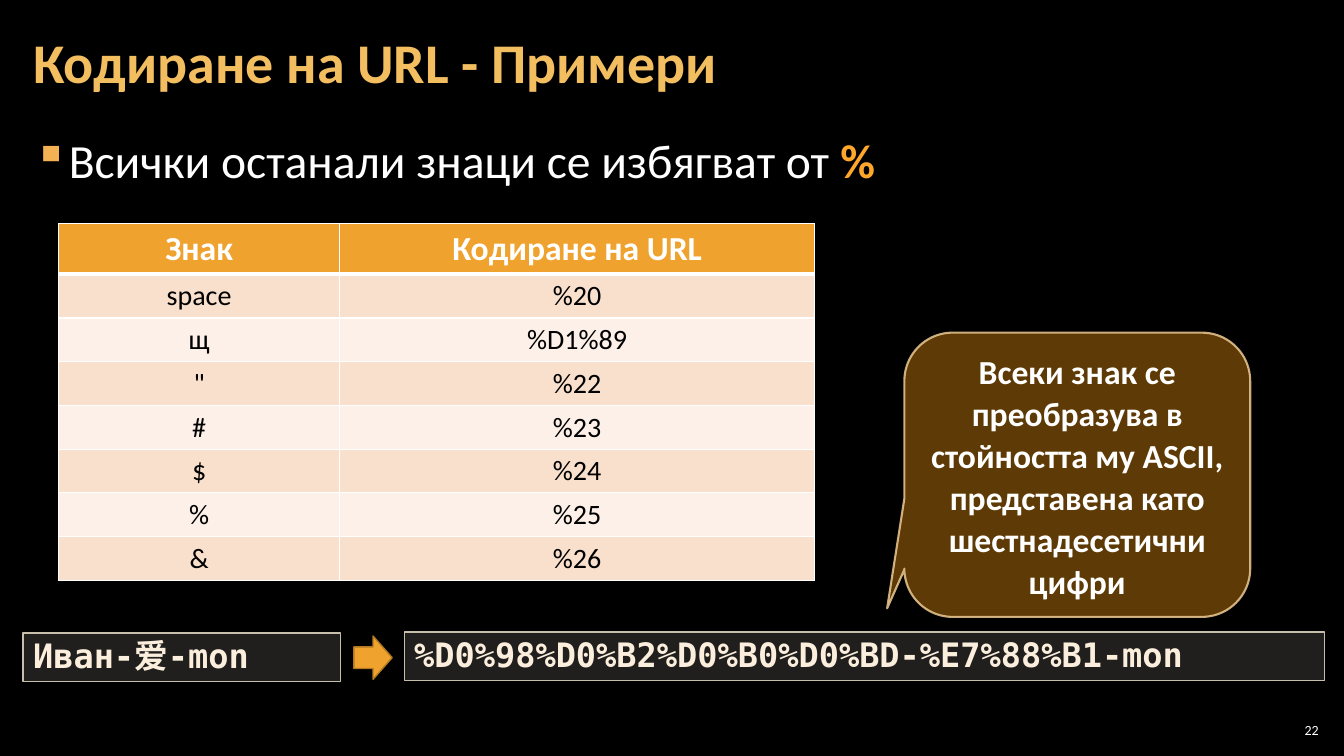
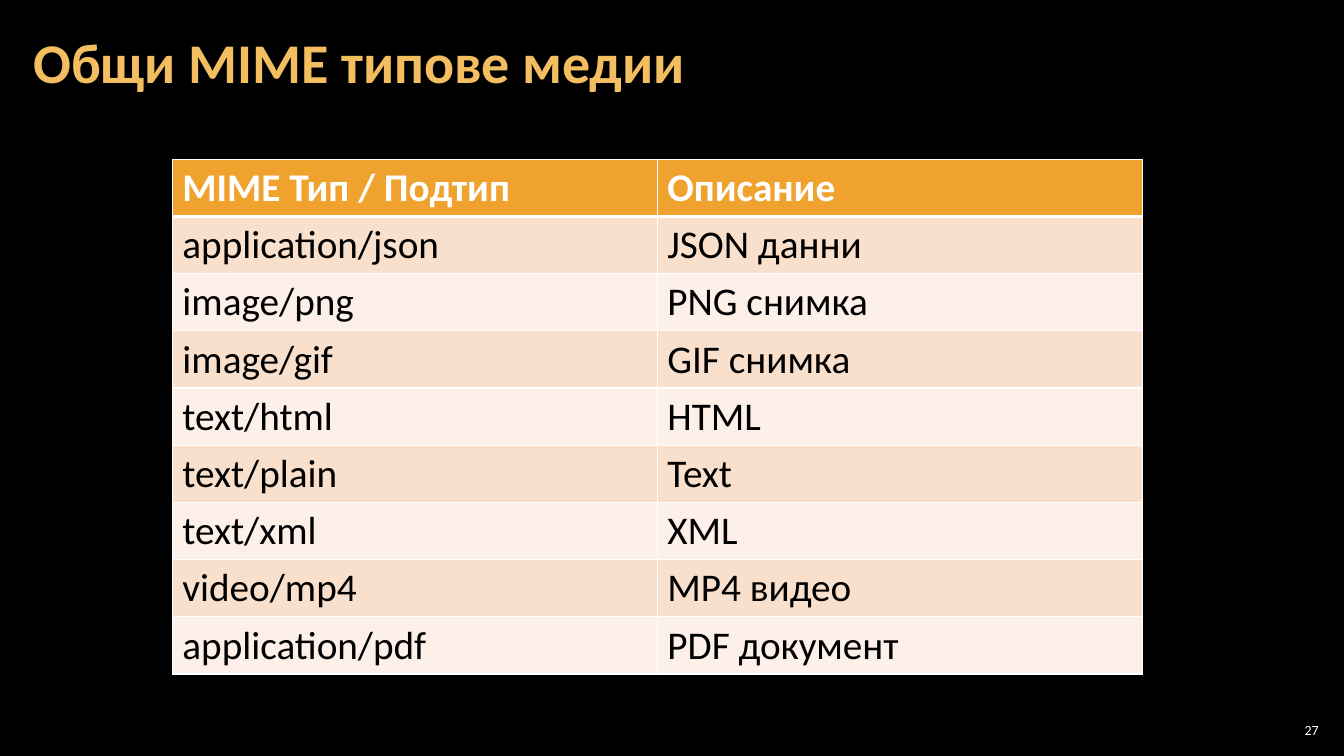
from lxml import etree
from pptx import Presentation
from pptx.dml.color import RGBColor
from pptx.enum import shapes, text
from pptx.oxml import parse_xml
from pptx.oxml.ns import nsdecls, qn
from pptx.util import Inches, Pt

COLORS = {
    "background": "000000", "title": "F3BE60", "white": "FFFFFF", "black": "000000",
    "bullet": "F2B254", "highlight": "FFA72A", "header": "F0A22E",
    "odd_row": "F9E0CD", "even_row": "FCF0E8",
    "code": "FBEEDC", "code_fill": "D9D5C7", "code_line": "C7BFAC",
    "arrow_line": "B27822", "callout": "643F07", "callout_line": "F8D49E",
}
BODY_FONT, CODE_FONT = "Calibri", "DejaVu Sans Mono"
LEFT, CENTER, RIGHT = text.PP_ALIGN.LEFT, text.PP_ALIGN.CENTER, text.PP_ALIGN.RIGHT
TOP, MIDDLE = text.MSO_ANCHOR.TOP, text.MSO_ANCHOR.MIDDLE
SHAPE = shapes.MSO_SHAPE


def write(frame, wording, size, color, bold=False, font=BODY_FONT, align=LEFT,
          spacing=None, anchor=MIDDLE, margins=None):
    frame.word_wrap = True
    frame.vertical_anchor = anchor
    if margins:
        frame.margin_left = frame.margin_right = Inches(margins[0])
        frame.margin_top = frame.margin_bottom = Inches(margins[1])
    frame.text = wording
    paragraph = frame.paragraphs[0]
    paragraph.alignment = align
    paragraph.line_spacing = spacing
    run = paragraph.runs[0]
    run.font.name, run.font.size, run.font.bold = font, Pt(size), bold
    run.font.color.rgb = RGBColor.from_string(COLORS[color])
    return paragraph


def add_grid(slide, left, top, widths, heights, rows, sizes, align):
    box = [Inches(n) for n in (left, top, sum(widths), sum(heights))]
    table = slide.shapes.add_table(len(rows), len(widths), *box).table
    for column, width in zip(table.columns, widths):
        column.width = Inches(width)
    for r, row in enumerate(rows):
        table.rows[r].height = Inches(heights[r])
        is_header = r == 0
        fill = "header" if is_header else "odd_row" if r % 2 else "even_row"
        for c, wording in enumerate(row):
            cell = table.cell(r, c)
            write(cell.text_frame, wording, sizes[0] if is_header else sizes[1],
                  "white" if is_header else "black", is_header, align=align)
            cell.vertical_anchor = MIDDLE if is_header else TOP
            properties = cell._tc.get_or_add_tcPr()
            for side in "LRTB":
                thick = (side == "B" and is_header) or (side == "T" and r == 1)
                properties.append(parse_xml(
                    f'<a:ln{side} {nsdecls("a")} w="{Pt(3 if thick else 1)}"><a:solidFill>'
                    f'<a:srgbClr val="{COLORS["white"]}"/></a:solidFill></a:ln{side}>'))
            cell.fill.solid()
            cell.fill.fore_color.rgb = RGBColor.from_string(COLORS[fill])


prs = Presentation()
prs.slide_width, prs.slide_height = Inches(13.33), Inches(7.5)
backdrop = prs.slide_master.background.fill
backdrop.solid()
backdrop.fore_color.rgb = RGBColor.from_string(COLORS["background"])

slides = []
for heading, number in [("Кодиране на URL - Примери", "22"), ("Общи MIME типове медии", "27")]:
    slide = prs.slides.add_slide(prs.slide_layouts[6])
    title = slide.shapes.add_textbox(Inches(0.21), Inches(0.04), Inches(10.47), Inches(1.21))
    write(title.text_frame, heading, 40, "title", True, spacing=0.9, margins=(0.12, 0.04))
    page = slide.shapes.add_textbox(Inches(12.65), Inches(7.14), Inches(0.47), Inches(0.21))
    write(page.text_frame, number, 10, "white", align=RIGHT, margins=(0.04, 0.04))
    slides.append(slide)
encoding, media_types = slides

statement = encoding.shapes.add_textbox(Inches(0.21), Inches(1.26), Inches(12.91), Inches(0.8))
point = write(statement.text_frame, "Всички останали знаци се избягват от ", 34, "white",
              anchor=TOP, margins=(0.12, 0.04))
point.space_before = point.space_after = Pt(6)
percent = point.add_run()
percent.text = "%"
percent.font.name, percent.font.size, percent.font.bold = BODY_FONT, Pt(34), True
percent.font.color.rgb = RGBColor.from_string(COLORS["highlight"])
indents = point._p.get_or_add_pPr()
indents.set("marL", str(Inches(0.33)))
indents.set("indent", str(-Inches(0.33)))
bullet_color = etree.SubElement(indents, qn("a:buClr"))
etree.SubElement(bullet_color, qn("a:srgbClr"), val=COLORS["bullet"])
etree.SubElement(indents, qn("a:buChar"), char="▪")

characters = [("Знак", "Кодиране на URL"), ("space", "%20"), ("щ", "%D1%89"), ('"', "%22"),
              ("#", "%23"), ("$", "%24"), ("%", "%25"), ("&", "%26")]
add_grid(encoding, 0.58, 2.22, [2.79, 4.71], [0.5] + [0.43] * 7, characters, (24, 20), CENTER)

code_style = dict(size=24, color="code", bold=True, font=CODE_FONT, spacing=0.95, anchor=TOP)
callout_style = dict(size=24, color="white", bold=True, align=CENTER, spacing=Pt(30))
figures = [
    (SHAPE.RECTANGLE, (0.23, 6.28, 3.15, 0.48), ("code_fill", 15), ("code_line", 100, 1),
     "Иван-爱-mon", code_style),
    (SHAPE.RECTANGLE, (4.01, 6.27, 9.13, 0.48), ("code_fill", 15), ("code_line", 100, 1),
     "%D0%98%D0%B2%D0%B0%D0%BD-%E7%88%B1-mon", code_style),
    (SHAPE.RIGHT_ARROW, (3.51, 6.31, 0.38, 0.43), ("header", 100), ("arrow_line", 100, 1),
     "", None),
    (SHAPE.ROUNDED_RECTANGULAR_CALLOUT, (8.97, 3.3, 3.43, 2.82), ("callout", 95),
     ("callout_line", 80, 1.5),
     "Всеки знак се преобразува в стойността му ASCII, представена като шестнадесетични цифри",
     callout_style),
]
for kind, box, (fill, fill_opacity), (line, line_opacity, width), wording, style in figures:
    figure = encoding.shapes.add_shape(kind, *[Inches(n) for n in box])
    figure.shadow.inherit = False
    figure.line.width = Pt(width)
    for paint, color, opacity in [(figure.fill, fill, fill_opacity),
                                  (figure.line.fill, line, line_opacity)]:
        paint.solid()
        paint.fore_color.rgb = RGBColor.from_string(COLORS[color])
        if opacity < 100:
            tint = paint._xPr.find(qn("a:solidFill")).find(qn("a:srgbClr"))
            etree.SubElement(tint, qn("a:alpha"), val=str(opacity * 1000))
    if kind == SHAPE.ROUNDED_RECTANGULAR_CALLOUT:
        for index, value in enumerate([-0.55, 0.47, 0.17]):
            figure.adjustments[index] = value
    if wording:
        write(figure.text_frame, wording, **style)

formats = [("MIME Тип / Подтип", "Описание"), ("application/json", "JSON данни"),
           ("image/png", "PNG снимка"), ("image/gif", "GIF снимка"), ("text/html", "HTML"),
           ("text/plain", "Text"), ("text/xml", "XML"), ("video/mp4", "MP4 видео"),
           ("application/pdf", "PDF документ")]
add_grid(media_types, 1.71, 1.58, [4.81] * 2, [5.1 / len(formats)] * len(formats), formats,
         (28, 28), LEFT)

prs.save("out.pptx")
